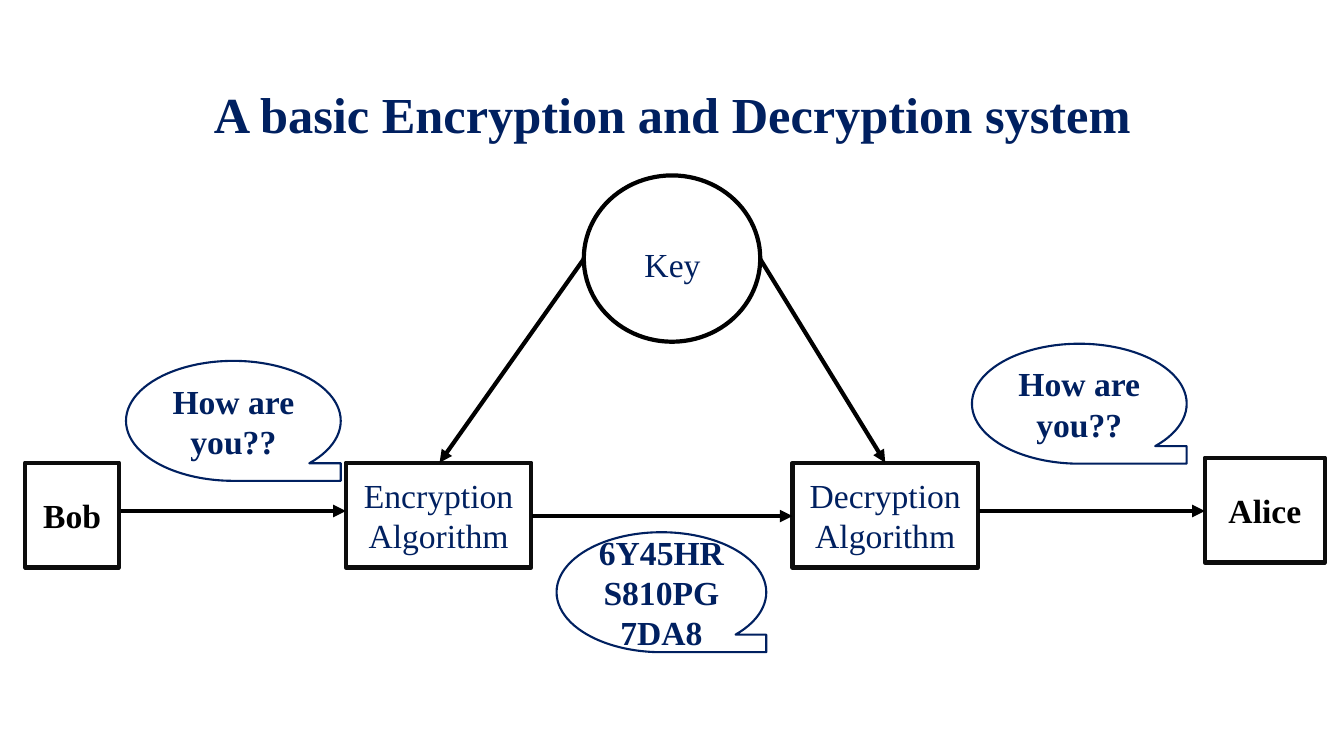
from dataclasses import dataclass

import pptx
import pptx.dml.color
import pptx.enum.shapes
import pptx.enum.text
import pptx.oxml
import pptx.shapes.autoshape
import pptx.slide
import pptx.util
from lxml import etree

Inches = pptx.util.Inches
Pt = pptx.util.Pt
MSO_SHAPE = pptx.enum.shapes.MSO_SHAPE
PP_ALIGN = pptx.enum.text.PP_ALIGN
MSO_ANCHOR = pptx.enum.text.MSO_ANCHOR


@dataclass(frozen=True)
class Theme:
    font: str = "Times New Roman"
    navy: str = "002060"
    black: str = "000000"
    border: str = "0D0D0D"
    white: str = "FFFFFF"
    title_size: float = 36
    body_size: float = 24
    heavy: float = 3
    thin: float = 1.5


@dataclass(frozen=True)
class Box:
    left: float
    top: float
    width: float
    height: float


@dataclass(frozen=True)
class Style:
    shape: MSO_SHAPE
    line: str
    weight: float
    text: str
    bold: bool = False
    fill: str | None = None


@dataclass(frozen=True)
class Node:
    text: str
    box: Box
    style: Style


@dataclass(frozen=True)
class Arrow:
    x1: float
    y1: float
    x2: float
    y2: float


THEME = Theme()
ALGORITHM = Style(MSO_SHAPE.RECTANGLE, THEME.border, THEME.heavy, THEME.navy, fill=THEME.white)
PERSON = Style(MSO_SHAPE.RECTANGLE, THEME.border, THEME.heavy, THEME.black, True, THEME.white)
KEY = Style(MSO_SHAPE.OVAL, THEME.black, THEME.heavy, THEME.navy)
BUBBLE = Style(MSO_SHAPE.FLOWCHART_SEQUENTIAL_ACCESS_STORAGE, THEME.navy, THEME.thin,
               THEME.navy, True)

TITLE_BOX = Box(0.92, 0.4, 11.5, 1.45)
KEY_LABEL_BOX = Box(6.29, 2.37, 0.76, 0.5)

NODES = [
    Node("Encryption\nAlgorithm", Box(3.43, 4.59, 1.84, 1.04), ALGORITHM),
    Node("Decryption\nAlgorithm", Box(7.86, 4.59, 1.84, 1.04), ALGORITHM),
    Node("", Box(5.79, 1.74, 1.75, 1.65), KEY),
    Node("6Y45HRS810PG7DA8", Box(5.52, 5.28, 2.08, 1.19), BUBBLE),
    Node("Alice", Box(11.95, 4.54, 1.19, 1.04), PERSON),
    Node("Bob", Box(0.25, 4.59, 0.93, 1.04), PERSON),
    Node("How are you??", Box(1.25, 3.58, 2.13, 1.19), BUBBLE),
    Node("How are you??", Box(9.64, 3.41, 2.13, 1.19), BUBBLE),
]

ARROWS = [
    Arrow(5.79, 2.57, 4.36, 4.59),
    Arrow(7.54, 2.57, 8.78, 4.59),
    Arrow(5.28, 5.12, 7.86, 5.12),
    Arrow(1.2, 5.07, 3.43, 5.07),
    Arrow(9.71, 5.07, 11.95, 5.07),
]


def rgb(color: str) -> pptx.dml.color.RGBColor:
    return pptx.dml.color.RGBColor.from_string(color)


def emu(box: Box) -> list[pptx.util.Length]:
    return [Inches(v) for v in (box.left, box.top, box.width, box.height)]


def write_text(sp: pptx.shapes.autoshape.Shape, text: str, size: float, color: str,
               bold: bool = False, wrap: bool = True) -> None:
    tf = sp.text_frame
    tf.word_wrap = wrap
    tf.vertical_anchor = MSO_ANCHOR.MIDDLE
    tf.text = text
    for p in tf.paragraphs:
        p.alignment = PP_ALIGN.CENTER
        p.font.name = THEME.font
        p.font.size = Pt(size)
        p.font.bold = bold
        p.font.color.rgb = rgb(color)


def add_label(s: pptx.slide.Slide, text: str, box: Box, size: float,
              bold: bool = False, wrap: bool = True) -> None:
    sp = s.shapes.add_textbox(*emu(box))
    write_text(sp, text, size, THEME.navy, bold, wrap)


def add_node(s: pptx.slide.Slide, node: Node) -> None:
    style = node.style
    sp = s.shapes.add_shape(style.shape, *emu(node.box))
    sp.shadow.inherit = False
    if style.fill:
        sp.fill.solid()
        sp.fill.fore_color.rgb = rgb(style.fill)
    else:
        sp.fill.background()
    sp.line.color.rgb = rgb(style.line)
    sp.line.width = Pt(style.weight)
    if node.text:
        write_text(sp, node.text, THEME.body_size, style.text, style.bold)


def add_arrow(s: pptx.slide.Slide, arrow: Arrow) -> None:
    cxn = s.shapes.add_connector(
        pptx.enum.shapes.MSO_CONNECTOR.STRAIGHT,
        *(Inches(v) for v in (arrow.x1, arrow.y1, arrow.x2, arrow.y2)))
    cxn.line.color.rgb = rgb(THEME.black)
    cxn.line.width = Pt(THEME.heavy)
    ln = cxn.line._get_or_add_ln()
    etree.SubElement(ln, pptx.oxml.ns.qn("a:tailEnd"), type="triangle")
    etree.SubElement(cxn._element.spPr, pptx.oxml.ns.qn("a:effectLst"))


def main() -> None:
    prs = pptx.Presentation()
    prs.slide_width = Inches(13.33)
    prs.slide_height = Inches(7.5)
    s = prs.slides.add_slide(prs.slide_layouts[6])
    add_label(s, "A basic Encryption and Decryption system", TITLE_BOX,
              THEME.title_size, bold=True)
    for node in NODES:
        add_node(s, node)
    add_label(s, "Key", KEY_LABEL_BOX, THEME.body_size, wrap=False)
    for arrow in ARROWS:
        add_arrow(s, arrow)
    prs.save("out.pptx")


if __name__ == "__main__":
    main()
